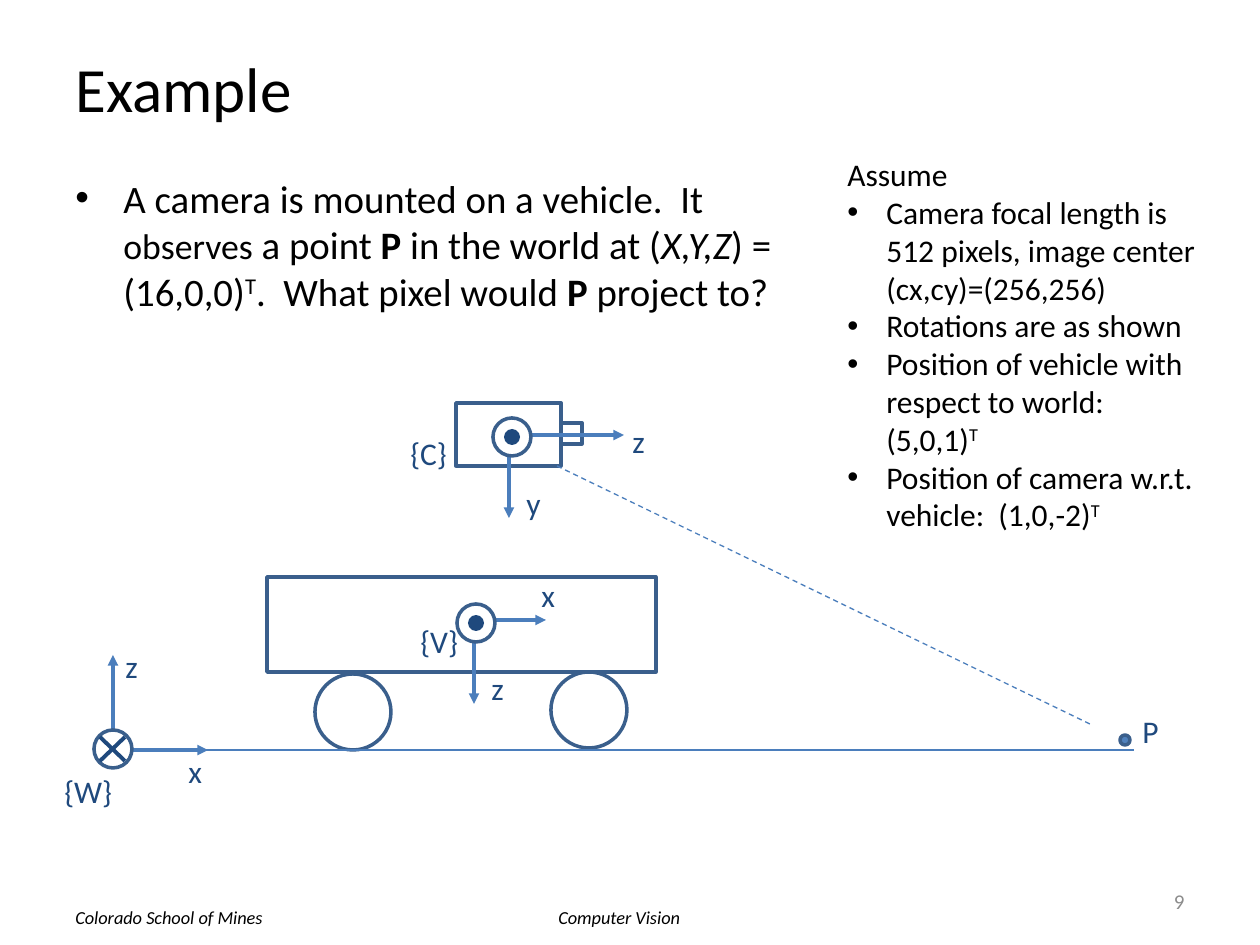
from dataclasses import dataclass
from typing import Any, Optional

from lxml.etree import SubElement as Sub
from pptx import Presentation
from pptx.dml.color import RGBColor as Rgb
from pptx.enum.dml import MSO_LINE as Dash
from pptx.enum.shapes import MSO_CONNECTOR as Link, MSO_SHAPE as Form
from pptx.enum.text import MSO_ANCHOR as Anchor, PP_ALIGN as Align
from pptx.oxml.ns import qn
from pptx.util import Emu, Pt

SCALE = 914400 / 126
FONT = "Calibri"
COLORS = {
    "black": "000000", "gray": "8C8C8C", "white": "FFFFFF", "navy": "1F497D",
    "edge": "3A5F8C", "line": "4B7EBC", "blue": "4F81BD",
}


@dataclass
class Run:
    text: str
    size: Optional[float] = None
    bold: bool = False
    slant: bool = False
    sup: bool = False


@dataclass
class Para:
    runs: list[Run]
    indent: int = 0
    before: float = 0


@dataclass
class Frame:
    x: int
    y: int
    right: int
    end: int
    ring: tuple[int, int]
    into: bool = False


@dataclass
class Label:
    text: str
    x: int
    y: int


def px(n: float) -> Emu:
    return Emu(round(n * SCALE))


def hue(name: str) -> Rgb:
    return Rgb.from_string(COLORS[name])


def write(slide: Any, text: str | list[Para], x: int, y: int, w: int, h: int, *,
          size: float = 18, color: str = "black", slant: bool = False,
          wrap: bool = True, align: Align = Align.LEFT,
          anchor: Anchor = Anchor.TOP) -> None:
    frame = slide.shapes.add_textbox(px(x), px(y), px(w), px(h)).text_frame
    frame.word_wrap = wrap
    frame.vertical_anchor = anchor
    paras = [Para([Run(text, slant=slant)])] if isinstance(text, str) else text
    for i, item in enumerate(paras):
        para = frame.add_paragraph() if i else frame.paragraphs[0]
        para.alignment = align
        para.space_before = Pt(item.before)
        if item.indent:
            props = para._p.get_or_add_pPr()
            props.set("marL", str(px(item.indent)))
            props.set("indent", str(-px(item.indent)))
            Sub(props, qn("a:buFont")).set("typeface", "Arial")
            Sub(props, qn("a:buChar")).set("char", "•")
        for part in item.runs:
            run = para.add_run()
            run.text = part.text
            font = run.font
            font.name, font.size = FONT, Pt(part.size or size)
            font.bold, font.italic = part.bold, part.slant
            font.color.rgb = hue(color)
            if part.sup:
                font._element.set("baseline", "30000")


def shape(slide: Any, form: Form, x: int, y: int, w: int, h: int, *,
          fill: Optional[str] = None, edge: Optional[str] = "edge") -> None:
    item = slide.shapes.add_shape(form, px(x), px(y), px(w), px(h))
    item.shadow.inherit = False
    if fill:
        item.fill.solid()
        item.fill.fore_color.rgb = hue(fill)
    else:
        item.fill.background()
    if edge:
        item.line.color.rgb = hue(edge)
        item.line.width = Pt(2)
    else:
        item.line.fill.background()


def disc(slide: Any, x: int, y: int, size: int, **kind: Any) -> None:
    shape(slide, Form.OVAL, x, y, size, size, **kind)


def line(slide: Any, x: int, y: int, right: int, end: int, *, width: float = 2,
         color: str = "line", arrow: bool = False, dash: bool = False) -> None:
    item = slide.shapes.add_connector(Link.STRAIGHT, px(x), px(y), px(right), px(end))
    item.line.color.rgb = hue(color)
    item.line.width = Pt(width)
    if dash:
        item.line.dash_style = Dash.DASH
    if arrow:
        Sub(item.line._get_or_add_ln(), qn("a:tailEnd")).set("type", "triangle")
    Sub(item._element.spPr, qn("a:effectLst"))


def axes(slide: Any, frame: Frame) -> None:
    line(slide, frame.x, frame.y, frame.right, frame.y, arrow=True)
    line(slide, frame.x, frame.y, frame.x, frame.end, arrow=True)
    x, y = frame.ring
    disc(slide, x, y, 38, fill="white")
    if frame.into:
        line(slide, x + 6, y + 7, x + 31, y + 31, width=2.25, color="navy")
        line(slide, x + 31, y + 7, x + 6, y + 31, width=2.25, color="navy")
    else:
        disc(slide, x + 11, y + 11, 16, fill="navy", edge=None)


TASK = [Para([
    Run("A camera is mounted on a vehicle.  It "), Run("observes", size=20.4),
    Run(" a point "), Run("P", bold=True), Run(" in the world at ("),
    Run("X,Y,Z", slant=True), Run(") = (16,0,0)"), Run("T", sup=True),
    Run(".  What pixel would "), Run("P", bold=True), Run(" project to?"),
], indent=48, before=2)]

GIVEN = [
    Para([Run("Assume")]),
    Para([Run("Camera focal length is 512 pixels, image center (cx,cy)=(256,256)")], 39),
    Para([Run("Rotations are as shown")], 39),
    Para([Run("Position of vehicle with respect to world: (5,0,1)"), Run("T", sup=True)], 39),
    Para([Run("Position of camera w.r.t. vehicle:  (1,0,-2)"), Run("T", sup=True)], 39),
]

CAMERA = Frame(509, 435, 624, 518, (493, 418))
WORLD = Frame(113, 750, 208, 655, (94, 730), into=True)
CAR = Frame(474, 620, 546, 704, (457, 604))

LABELS = [
    Label("{W}", 52, 766), Label("x", 176, 746), Label("z", 113, 641),
    Label("{C}", 398, 428), Label("z", 620, 416), Label("y", 514, 478),
    Label("{V}", 408, 616), Label("z", 479, 663), Label("x", 529, 570),
    Label("P", 1130, 706),
]


def main() -> None:
    deck = Presentation()
    deck.slide_width, deck.slide_height = px(1260), px(945)
    slide = deck.slides.add_slide(deck.slide_layouts[6])

    write(slide, "Computer Vision", 546, 900, 149, 35, size=10.5, slant=True, wrap=False)
    write(slide, "Colorado School of Mines", 63, 900, 215, 35, size=10.5, slant=True, wrap=False)
    write(slide, "Example", 63, 38, 1134, 98, size=36, anchor=Anchor.MIDDLE)
    write(slide, TASK, 63, 168, 735, 144, size=22.2)
    write(slide, "9", 903, 876, 294, 50, size=12, color="gray",
          align=Align.RIGHT, anchor=Anchor.MIDDLE)

    shape(slide, Form.RECTANGLE, 456, 403, 105, 63)
    shape(slide, Form.RECTANGLE, 561, 423, 21, 21)
    shape(slide, Form.RECTANGLE, 267, 577, 389, 95)
    for frame in (CAMERA, WORLD, CAR):
        axes(slide, frame)
    disc(slide, 315, 674, 76)
    disc(slide, 551, 672, 76)

    line(slide, 150, 750, 1134, 750, width=0.75)
    disc(slide, 1120, 735, 10, fill="blue")
    line(slide, 557, 466, 1092, 725, width=0.75, dash=True)
    for label in LABELS:
        write(slide, label.text, label.x, label.y, 73, 50, color="navy")
    write(slide, GIVEN, 835, 149, 378, 394)

    deck.save("out.pptx")


if __name__ == "__main__":
    main()
